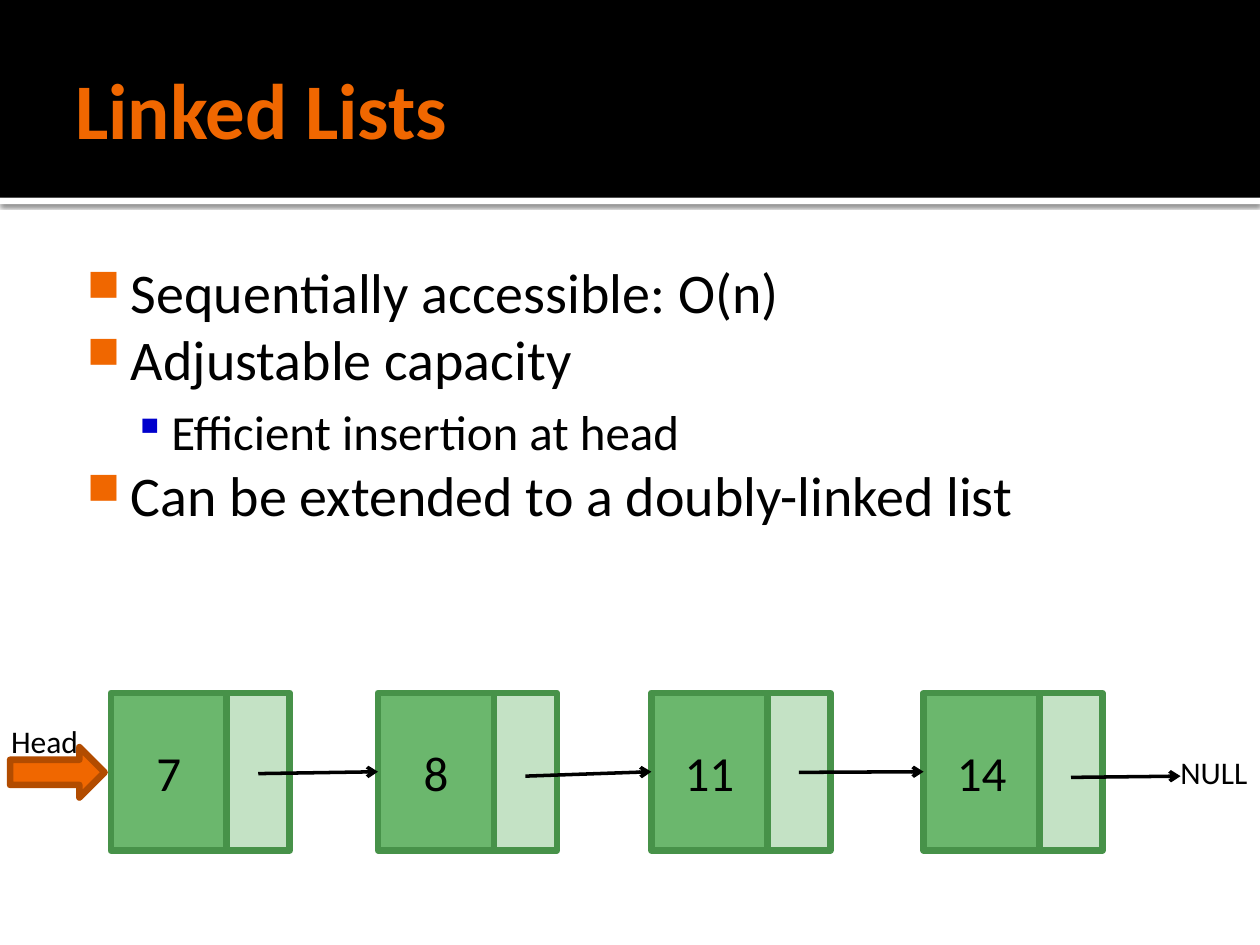
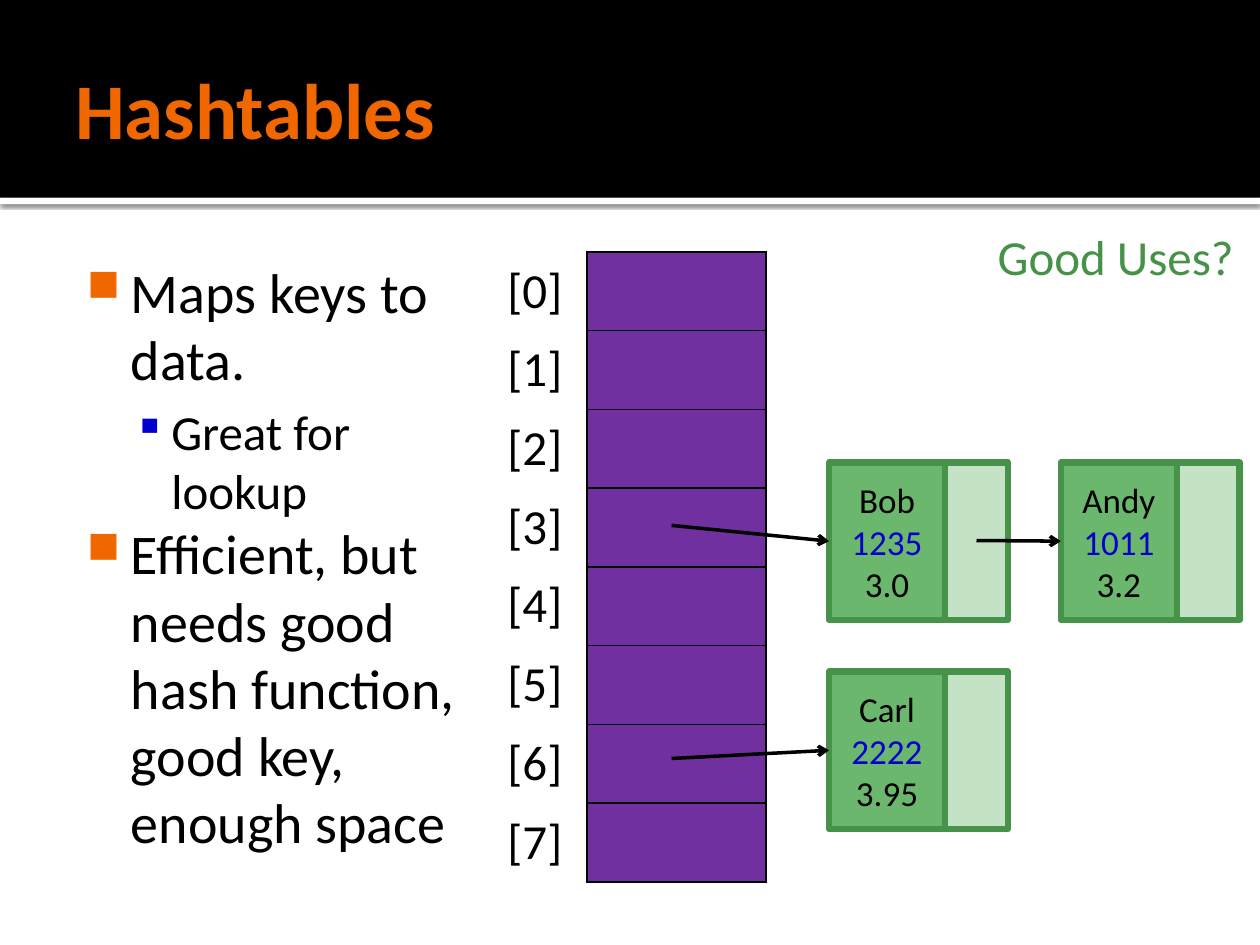
"""Build two slides on linked lists and hashtables."""
from dataclasses import dataclass

from lxml.etree import SubElement
from pptx import Presentation
from pptx.dml.color import RGBColor
from pptx.enum.shapes import MSO_CONNECTOR as Connector, MSO_SHAPE as Shape
from pptx.enum.text import MSO_ANCHOR as Anchor, MSO_AUTO_SIZE as AutoSize, PP_ALIGN as Align
from pptx.oxml.ns import qn
from pptx.util import Inches, Pt


@dataclass(frozen=True)
class Theme:
    font: str = "Calibri"
    black: str = "000000"
    white: str = "FFFFFF"
    orange: str = "F06700"
    rust: str = "B24C00"
    blue: str = "0000CC"
    purple: str = "7030A0"
    green: str = "6BB76D"
    pale_green: str = "C4E2C5"
    dark_green: str = "479249"
    title: float = 45
    body: float = 32
    detail: float = 28
    record: float = 20
    label: float = 18
    outline: float = 3.78
    arrow: float = 2
    grid: float = 1


THEME = Theme()

LIST_TITLE = "Linked Lists"
LIST_POINTS = [
    (0, "Sequentially accessible: O(n)"),
    (0, "Adjustable capacity"),
    (1, "Efficient insertion at head"),
    (0, "Can be extended to a doubly-linked list"),
]
LIST_NODES = [("7", 0.88, 6.14), ("8", 3, 6.16), ("11", 5.17, 6.13), ("14", 7.33, 6.17)]
LIST_TOP = 5.5
NULL_POINT = (9.37, 6.16)

HASH_TITLE = "Hashtables"
HASH_POINTS = [
    (0, "Maps keys to data."),
    (1, "Great for lookup"),
    (0, "Efficient, but needs good hash function, good key, enough space"),
]
BUCKET_COUNT = 8
RECORDS = {
    "Bob": (("1235", "3.0"), 6.58, 3.67),
    "Andy": (("1011", "3.2"), 8.42, 3.67),
    "Carl": (("2222", "3.95"), 6.58, 5.33),
}
RECORD_LINKS = [("Bob", 5.33, 4.17), ("Andy", 7.75, 4.29), ("Carl", 5.33, 6.02)]

DATA_WIDTH, POINTER_WIDTH, NODE_HEIGHT = 0.92, 0.5, 1.25
BULLETS = [
    (0.48, -0.35, "■", THEME.orange, 80, THEME.body, 0),
    (0.8, -0.3, "▪", THEME.blue, 90, THEME.detail, 5.6),
]


def rgb(color):
    return RGBColor.from_string(color)


def style_font(font, size, color, bold=False):
    font.name, font.size, font.bold = THEME.font, Pt(size), bold
    font.color.rgb = rgb(color)


def add_block(shapes, kind, left, top, width, height, fill, outline=None):
    block = shapes.add_shape(kind, Inches(left), Inches(top), Inches(width), Inches(height))
    block.fill.solid()
    block.fill.fore_color.rgb = rgb(fill)
    if outline:
        block.line.color.rgb = rgb(outline)
        block.line.width = Pt(THEME.outline)
    else:
        block.line.fill.background()
    block.shadow.inherit = False
    return block


def add_text_box(page, left, top, width, height, insets=(0.1, 0.05, 0.1, 0.05)):
    box = page.shapes.add_textbox(Inches(left), Inches(top), Inches(width), Inches(height))
    frame = box.text_frame
    frame.word_wrap = True
    frame.margin_left, frame.margin_top, frame.margin_right, frame.margin_bottom = map(Inches, insets)
    return frame


def add_label(page, text, left, top, width, height, size, color):
    frame = add_text_box(page, left, top, width, height)
    frame.word_wrap = False
    frame.auto_size = AutoSize.SHAPE_TO_FIT_TEXT
    frame.text = text
    style_font(frame.paragraphs[0].runs[0].font, size, color)


def add_page(deck, title):
    page = deck.slides.add_slide(deck.slide_layouts[6])
    strip = add_block(page.shapes, Shape.RECTANGLE, 0, 1.57, 10, 0.05, THEME.white)
    effects = strip._element.spPr.find(qn("a:effectLst"))
    shadow = SubElement(effects, qn("a:outerShdw"), blurRad=str(Pt(2.5)), dist=str(Pt(0.8)),
                        dir="5400000", rotWithShape="0")
    shade = SubElement(shadow, qn("a:srgbClr"), val=THEME.black)
    SubElement(shade, qn("a:alpha"), val="60000")
    add_block(page.shapes, Shape.RECTANGLE, 0, 0, 10, 1.57, THEME.black)
    frame = add_text_box(page, 0.5, 0.17, 9, 1.37, (0.1, 0.05, 0.05, 0.05))
    frame.vertical_anchor = Anchor.MIDDLE
    frame.text = title
    style_font(frame.paragraphs[0].runs[0].font, THEME.title, THEME.orange, True)
    return page


def add_points(page, points, width):
    frame = add_text_box(page, 0.5, 1.94, width, 5.06, (0.06, 0.1, 0.1, 0.05))
    frame.text = "\n".join(text for level, text in points)
    for para, (level, text) in zip(frame.paragraphs, points):
        margin, indent, mark, color, percent, size, before = BULLETS[level]
        para.level = level
        props = para._p.get_or_add_pPr()
        props.set("marL", str(Inches(margin)))
        props.set("indent", str(Inches(indent)))
        SubElement(SubElement(props, qn("a:buClr")), qn("a:srgbClr"), val=color)
        SubElement(props, qn("a:buSzPct"), val=str(percent * 1000))
        SubElement(props, qn("a:buChar"), char=mark)
        para.space_before = Pt(before)
        style_font(para.runs[0].font, size, THEME.black)


def add_node(page, lines, left, top, size):
    group = page.shapes.add_group_shape()
    data = add_block(group.shapes, Shape.RECTANGLE, left, top, DATA_WIDTH, NODE_HEIGHT,
                     THEME.green, THEME.dark_green)
    add_block(group.shapes, Shape.RECTANGLE, left + DATA_WIDTH, top, POINTER_WIDTH, NODE_HEIGHT,
              THEME.pale_green, THEME.dark_green)
    para = data.text_frame.paragraphs[0]
    para.text = "\v".join(lines)
    para.alignment = Align.CENTER
    for index, span in enumerate(para.runs):
        style_font(span.font, size, THEME.blue if index == 1 else THEME.black)
    return data


def add_arrow(page, start, end=(0, 0), target=None):
    arrow = page.shapes.add_connector(Connector.STRAIGHT, *map(Inches, start + end))
    if target is not None:
        arrow.end_connect(target, 1)
    arrow.line.color.rgb = rgb(THEME.black)
    arrow.line.width = Pt(THEME.arrow)
    props = arrow._element.spPr
    SubElement(props.find(qn("a:ln")), qn("a:tailEnd"), type="arrow")
    SubElement(props, qn("a:effectLst"))


def add_borders(cell, sides):
    props = cell._tc.get_or_add_tcPr()
    for side in sides:
        line = SubElement(props, qn(f"a:ln{side}"), w=str(Pt(THEME.grid)))
        SubElement(SubElement(line, qn("a:solidFill")), qn("a:srgbClr"), val=THEME.black)


def add_buckets(page):
    table = page.shapes.add_table(BUCKET_COUNT, 2, Inches(3.83), Inches(2),
                                  Inches(2.25), Inches(5)).table
    table.first_row = table.horz_banding = False
    table.columns[0].width, table.columns[1].width = Inches(0.83), Inches(1.42)
    for row in range(BUCKET_COUNT):
        index, bucket = table.cell(row, 0), table.cell(row, 1)
        add_borders(index, "R")
        add_borders(bucket, "LRTB")
        index.fill.background()
        bucket.fill.solid()
        bucket.fill.fore_color.rgb = rgb(THEME.purple)
        index.vertical_anchor = Anchor.MIDDLE
        para = index.text_frame.paragraphs[0]
        para.text = f"[{row}]"
        para.alignment = Align.CENTER
        style_font(para.runs[0].font, THEME.detail, THEME.black)


def build_linked_lists(deck):
    page = add_page(deck, LIST_TITLE)
    add_points(page, LIST_POINTS, 9)
    nodes = [add_node(page, [value], left, LIST_TOP, THEME.detail)
             for value, left, start_y in LIST_NODES]
    for (value, left, start_y), target in zip(LIST_NODES, nodes[1:] + [None]):
        start = (left + DATA_WIDTH + POINTER_WIDTH / 2, start_y)
        add_arrow(page, start, NULL_POINT, target)
    add_label(page, "NULL", 9.27, 5.93, 0.81, 0.4, THEME.label, THEME.black)
    add_block(page.shapes, Shape.RIGHT_ARROW, 0.08, 5.93, 0.75, 0.4, THEME.orange, THEME.rust)
    add_label(page, "Head", -0.01, 5.68, 0.76, 0.4, THEME.label, THEME.black)


def build_hashtables(deck):
    page = add_page(deck, HASH_TITLE)
    add_points(page, HASH_POINTS, 3.5)
    add_buckets(page)
    nodes = {name: add_node(page, (name, *values), left, top, THEME.record)
             for name, (values, left, top) in RECORDS.items()}
    for name, x, y in RECORD_LINKS:
        add_arrow(page, (x, y), target=nodes[name])
    add_label(page, "Good Uses?", 7.82, 1.75, 2.1, 0.57, THEME.detail, THEME.dark_green)


def main():
    deck = Presentation()
    deck.slide_width, deck.slide_height = Inches(10), Inches(7.5)
    build_linked_lists(deck)
    build_hashtables(deck)
    deck.save("out.pptx")


if __name__ == "__main__":
    main()
